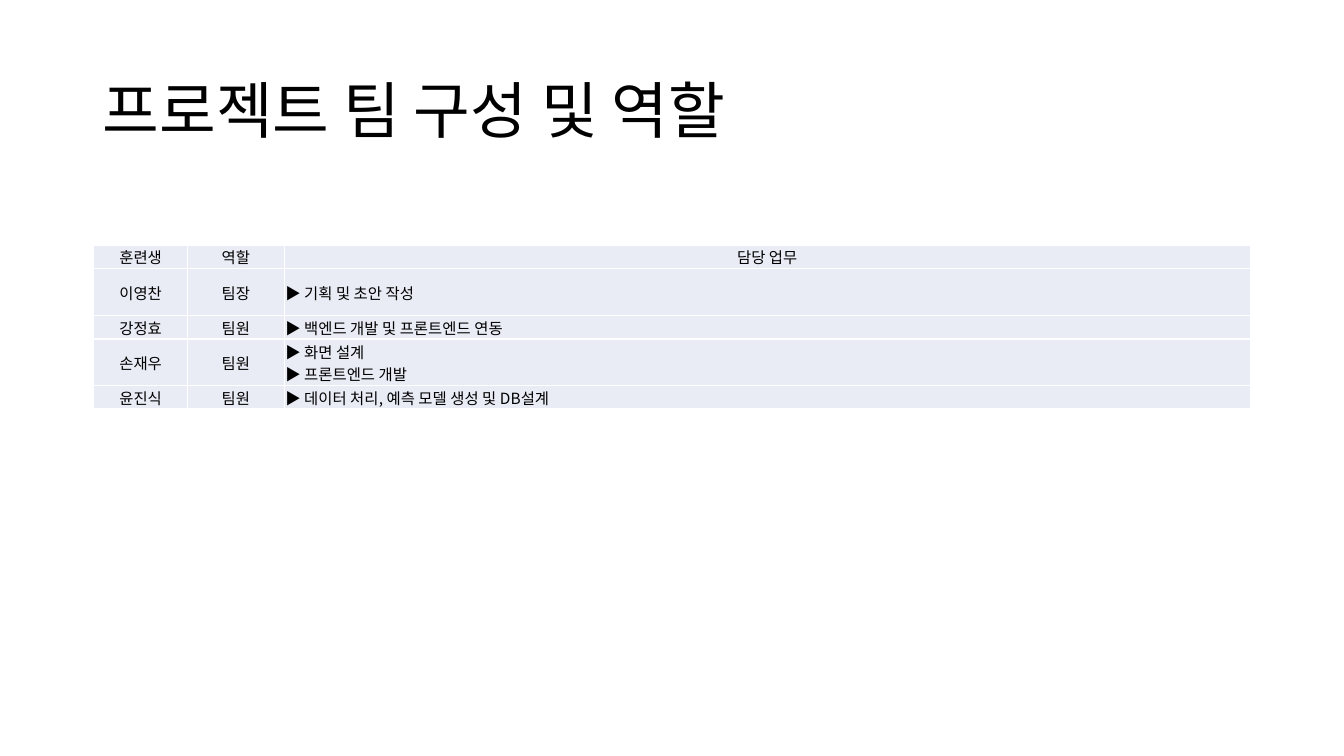
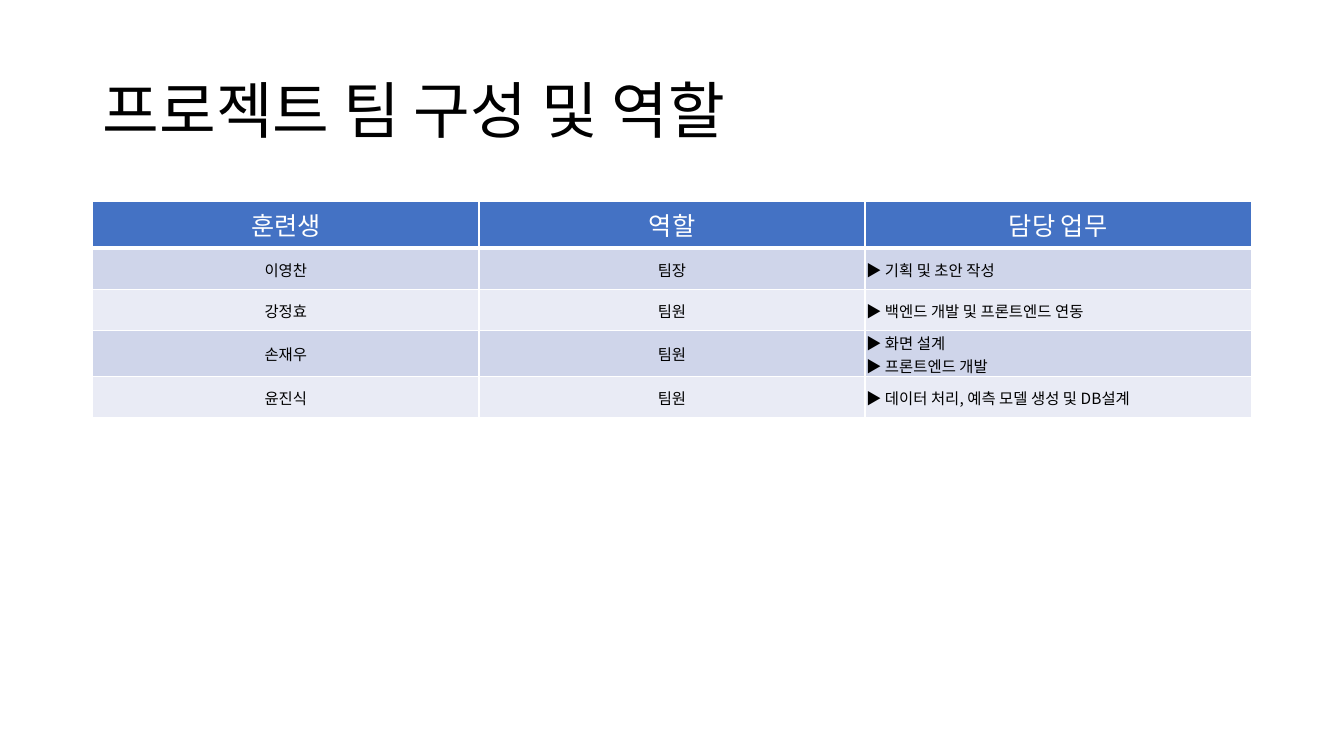
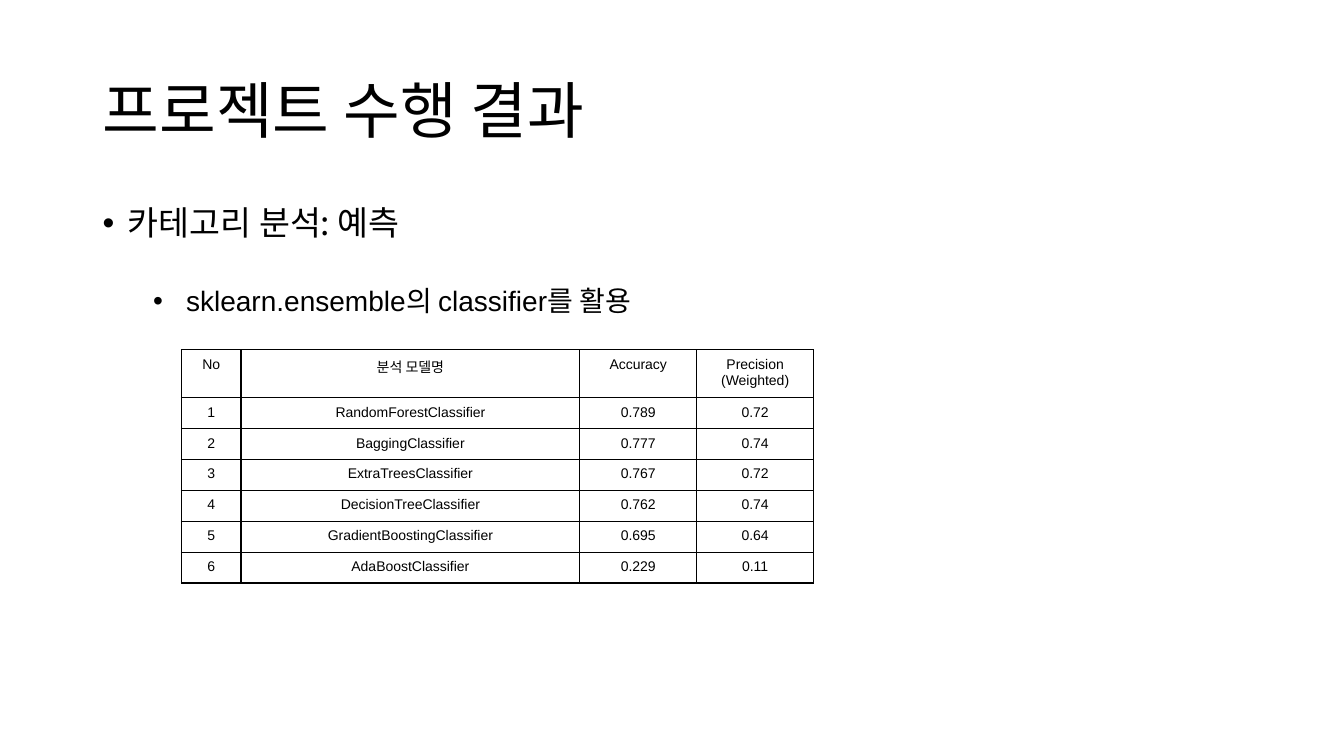
"""Build three project report slides: two team tables and one result table."""
from lxml import etree
from pptx import Presentation
from pptx import util as u
from pptx.dml.color import RGBColor
from pptx.enum import text
from pptx.oxml import ns

COLORS = {"ink": "000000", "paper": "FFFFFF", "header": "4472C4",
          "band": "CFD5EA", "pale": "E9EBF5"}
HANGUL, LATIN = "Noto Sans CJK KR", "Arial"
CENTER, LEFT = text.PP_ALIGN.CENTER, text.PP_ALIGN.LEFT
MIDDLE, TOP = text.MSO_ANCHOR.MIDDLE, text.MSO_ANCHOR.TOP
TIGHT, EVEN, ROOMY = (0.01, 0.01, 0.01, 0), (0.07,) * 4, (0.1, 0.05, 0.1, 0.05)
TITLE_BOX, BODY_BOX = (0.92, 0.4, 11.5, 1.45), (0.92, 2, 11.5, 4.76)

TEAM_HEADER = ("훈련생", "역할", "담당 업무")
TEAM = [
    ("이영찬", "팀장", "▶ 기획 및 초안 작성"),
    ("강정효", "팀원", "▶ 백엔드 개발 및 프론트엔드 연동"),
    ("손재우", "팀원", "▶ 화면 설계\n▶ 프론트엔드 개발"),
    ("윤진식", "팀원", "▶ 데이터 처리, 예측 모델 생성 및 DB설계"),
]
SCORES = [
    ("No", "분석 모델명", "Accuracy", "Precision\n(Weighted)"),
    ("1", "RandomForestClassifier", "0.789", "0.72"),
    ("2", "BaggingClassifier", "0.777", "0.74"),
    ("3", "ExtraTreesClassifier", "0.767", "0.72"),
    ("4", "DecisionTreeClassifier", "0.762", "0.74"),
    ("5", "GradientBoostingClassifier", "0.695", "0.64"),
    ("6", "AdaBoostClassifier", "0.229", "0.11"),
]


def add_span(para, words, size, color="ink", font=HANGUL):
    """Add one run with its Latin and East Asian fonts."""
    span = para.add_run()
    span.text = words
    span.font.size = u.Pt(size)
    span.font.bold = False
    span.font.name = font
    span.font.color.rgb = RGBColor.from_string(COLORS[color])
    etree.SubElement(span.font._element, ns.qn("a:ea"), typeface=HANGUL)


def add_page(deck, heading):
    """Add a title-only slide with the shared title style."""
    page = deck.slides.add_slide(deck.slide_layouts[5])
    title = page.shapes.title
    title.left, title.top, title.width, title.height = map(u.Inches, TITLE_BOX)
    frame = title.text_frame
    frame.auto_size = text.MSO_AUTO_SIZE.NONE
    frame.vertical_anchor = MIDDLE
    para = frame.paragraphs[0]
    para.alignment = LEFT
    para.line_spacing = 0.9
    add_span(para, heading, 44)
    return page


def set_borders(cell, color, top=1, bottom=1):
    """Draw the four borders of a cell."""
    props = cell._tc.get_or_add_tcPr()
    for side, width in zip("LRTB", (1, 1, top, bottom)):
        line = etree.SubElement(props, ns.qn(f"a:ln{side}"), w=str(u.Pt(width)))
        fill = etree.SubElement(line, ns.qn("a:solidFill"))
        etree.SubElement(fill, ns.qn("a:srgbClr"), val=COLORS[color])


def fill_cell(cell, words, size, color="ink", font=HANGUL, fill=None,
              align=CENTER, anchor=MIDDLE, margins=TIGHT):
    """Write and format the content of a cell."""
    if fill:
        cell.fill.solid()
        cell.fill.fore_color.rgb = RGBColor.from_string(COLORS[fill])
    else:
        cell.fill.background()
    cell.vertical_anchor = anchor
    (cell.margin_left, cell.margin_top,
     cell.margin_right, cell.margin_bottom) = map(u.Inches, margins)
    frame = cell.text_frame
    for index, line in enumerate(words.split("\n")):
        para = frame.add_paragraph() if index else frame.paragraphs[0]
        para.alignment = align
        add_span(para, line, size, color, font)


def add_grid(page, left, top, widths, heights):
    """Add an unbanded table with the given column widths and row heights."""
    table = page.shapes.add_table(
        len(heights), len(widths), u.Inches(left), u.Inches(top),
        u.Inches(sum(widths)), u.Inches(sum(heights))).table
    table.first_row = table.horz_banding = False
    for column, width in zip(table.columns, widths):
        column.width = u.Inches(width)
    for row, height in zip(table.rows, heights):
        row.height = u.Inches(height)
    return table


def add_team_table(page, left, top, widths, heights, banded):
    """Add the team table, either plain or with a header and bands."""
    table = add_grid(page, left, top, widths, heights)
    for r, record in enumerate([TEAM_HEADER] + TEAM):
        for c, words in enumerate(record):
            cell = table.cell(r, c)
            set_borders(cell, "paper", top=3 if banded and r == 1 else 1,
                        bottom=3 if banded and r == 0 else 1)
            if banded and r == 0:
                fill_cell(cell, words, 18, "paper", fill="header",
                          anchor=TOP, margins=ROOMY)
            else:
                fill_cell(cell, words, 11,
                          fill="band" if banded and r % 2 else "pale",
                          align=LEFT if r and c == 2 else CENTER)


def add_score_table(page, left, top):
    """Add the bordered table of classifier scores."""
    heights = [0.45] + [0.29] * (len(SCORES) - 1)
    table = add_grid(page, left, top, (0.59, 3.36, 1.16, 1.16), heights)
    for r, record in enumerate(SCORES):
        for c, words in enumerate(record):
            cell = table.cell(r, c)
            set_borders(cell, "ink")
            fill_cell(cell, words, 10, font=LATIN, anchor=TOP, margins=EVEN)


def add_bullet(para, words, size, font, indent, before=0):
    """Write a bulleted paragraph with a hanging indent."""
    para.line_spacing = 0.9
    para.space_before = u.Pt(before)
    props = para._p.get_or_add_pPr()
    props.set("marL", str(u.Inches(indent)))
    props.set("indent", str(u.Inches(-0.25)))
    etree.SubElement(props, ns.qn("a:buFont"), typeface=LATIN)
    etree.SubElement(props, ns.qn("a:buChar"), char="•")
    add_span(para, words, size, font=font)


def add_outline(page, left, top, width, height):
    """Add the two-level bullet list."""
    box = page.shapes.add_textbox(*map(u.Inches, (left, top, width, height)))
    frame = box.text_frame
    frame.word_wrap = True
    add_bullet(frame.paragraphs[0], "카테고리 분석: 예측", 24, HANGUL, 0.25)
    detail = frame.add_paragraph()
    detail.level = 1
    add_bullet(detail, "\u00a0sklearn.ensemble의 classifier를 활용", 20, LATIN,
               0.75, before=32)


def main():
    """Build and save the deck."""
    deck = Presentation()
    deck.slide_width, deck.slide_height = u.Inches(13.33), u.Inches(7.5)
    team_heading = "프로젝트 팀 구성 및 역할"
    add_team_table(add_page(deck, team_heading), 0.93, 2.43,
                   (0.93, 0.96, 9.58), (0.23, 0.47, 0.23, 0.46, 0.23), False)
    add_team_table(add_page(deck, team_heading), 0.92, 2,
                   (3.83,) * 3, (0.41,) * 5, True)
    results = add_page(deck, "프로젝트 수행 결과")
    add_outline(results, *BODY_BOX)
    add_score_table(results, 1.8, 3.47)
    deck.save("out.pptx")


main()
